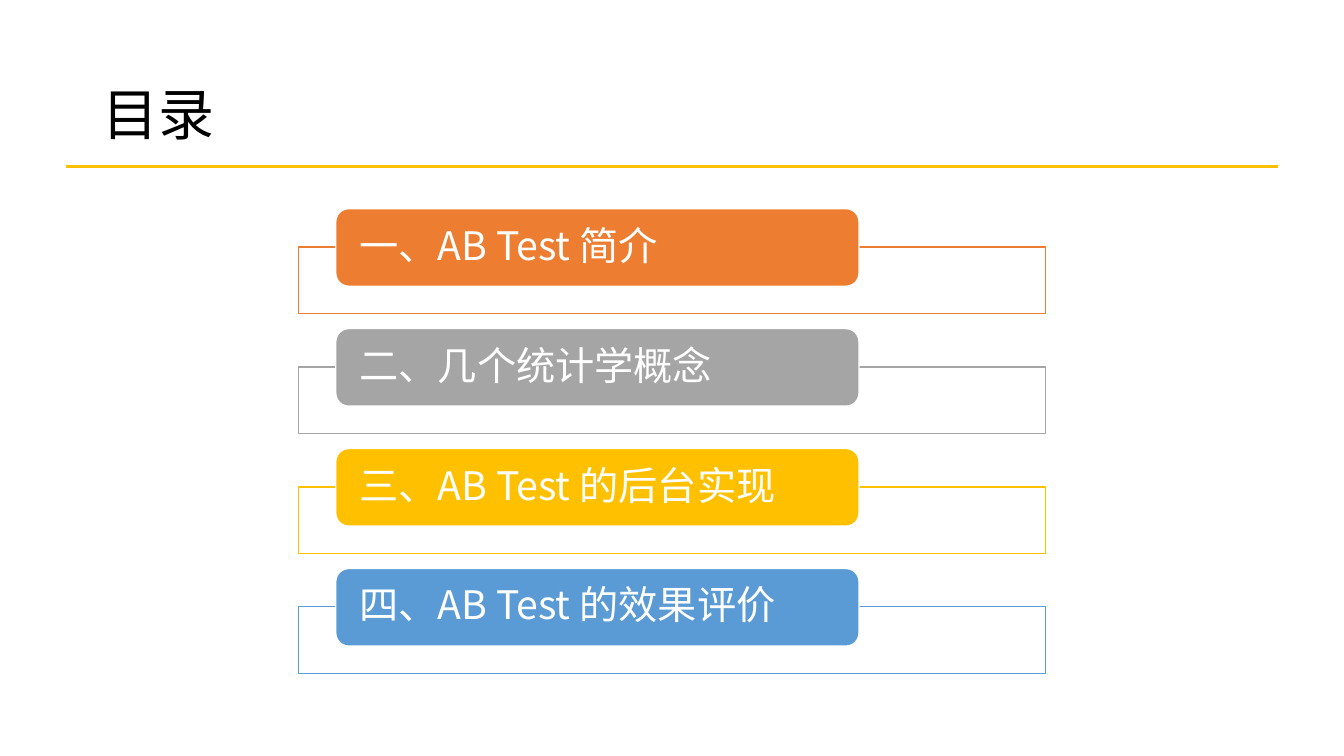
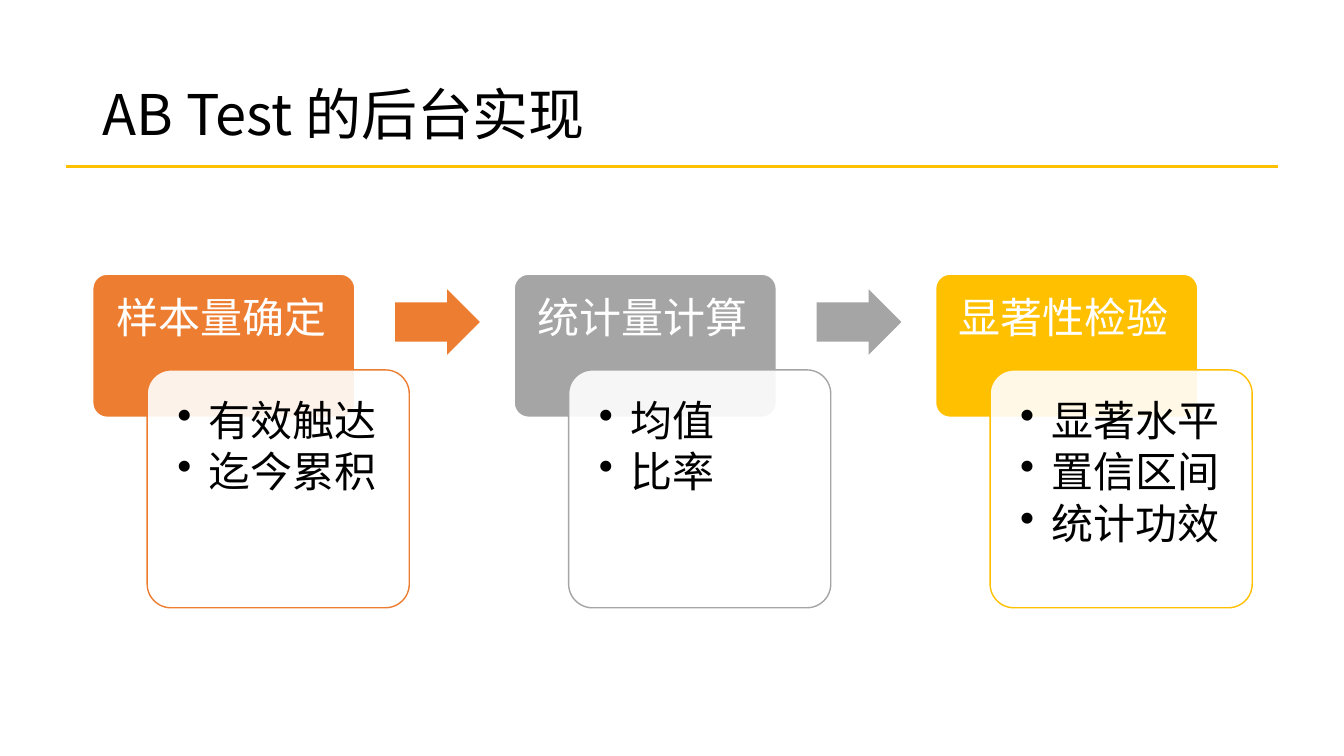
import pptx
import pptx.dml.color
import pptx.enum.shapes
import pptx.enum.text
import pptx.oxml.ns
import pptx.util
import lxml.etree

inches = pptx.util.Inches
qn = pptx.oxml.ns.qn
color = pptx.dml.color.RGBColor.from_string
shapes = pptx.enum.shapes.MSO_SHAPE
anchors = pptx.enum.text.MSO_ANCHOR

FONT = "Noto Sans CJK SC"
ORANGE, GRAY, GOLD, BLUE = "ED7D31", "A5A5A5", "FFC000", "5B9BD5"
WHITE, BLACK = "FFFFFF", "000000"
MARGIN = 0.92


def add_box(slide, kind, place, fill, line, opacity=100):
    box = slide.shapes.add_shape(kind, *map(inches, place))
    box.shadow.inherit = False
    box.fill.solid()
    box.fill.fore_color.rgb = color(fill)
    if opacity < 100:
        tint = box.fill._xPr.find(qn("a:solidFill"))[0]
        lxml.etree.SubElement(tint, qn("a:alpha"), val=str(opacity * 1000))
    if line:
        box.line.color.rgb = color(line)
        box.line.width = pptx.util.Pt(1)
    else:
        box.line.fill.background()
    return box


def write(frame, lines, size, ink, anchor, insets=None, after=0, bullet=False):
    frame.word_wrap = True
    frame.vertical_anchor = anchor
    if insets:
        (frame.margin_left, frame.margin_top,
         frame.margin_right, frame.margin_bottom) = map(inches, insets)
    frame.text = "\n".join(lines)
    for para in frame.paragraphs:
        para.alignment = pptx.enum.text.PP_ALIGN.LEFT
        para.line_spacing = 0.9
        properties = para._p.get_or_add_pPr()
        if after:
            para.space_after = pptx.util.Pt(0)
            spacing = properties.find(qn("a:spcAft"))
            spacing.clear()
            lxml.etree.SubElement(spacing, qn("a:spcPct"), val=str(after * 1000))
        if bullet:
            para.level = 1
            properties.set("marL", str(inches(0.31)))
            properties.set("indent", str(-inches(0.31)))
            lxml.etree.SubElement(properties, qn("a:buChar"), char="•")
        para.font.size = pptx.util.Pt(size)
        para.font.color.rgb = color(ink)
        para.font.name = FONT
        lxml.etree.SubElement(properties.find(qn("a:defRPr")), qn("a:ea"), typeface=FONT)


deck = pptx.Presentation()
deck.slide_width, deck.slide_height = inches(13.33), inches(7.5)
layout = deck.slide_layouts.get_by_name("Title Only")

pages = []
for heading in ("目录", "AB Test 的后台实现"):
    page = deck.slides.add_slide(layout)
    title = page.shapes.title
    title.left, title.top, title.width, title.height = map(inches, (MARGIN, 0.67, 11.5, 0.98))
    write(title.text_frame, [heading], 40, BLACK, anchors.MIDDLE)
    pages.append(page)
contents, process = pages

rule = contents.shapes.add_connector(
    pptx.enum.shapes.MSO_CONNECTOR.STRAIGHT, *map(inches, (0.65, 1.65, 12.68, 1.65)))
rule.line.color.rgb = color(GOLD)
rule.line.width = pptx.util.Pt(2.25)
lxml.etree.SubElement(rule.element.spPr, qn("a:effectLst"))
rule.element.nvCxnSpPr.cNvPr.id = 20
layout.shapes.element.append(rule.element)

chapters = [
    ("一、AB Test 简介", ORANGE),
    ("二、几个统计学概念", GRAY),
    ("三、AB Test 的后台实现", GOLD),
    ("四、AB Test 的效果评价", BLUE),
]
ROW = 1.19
for row, (chapter, accent) in enumerate(chapters):
    top = 2.07 + row * ROW
    add_box(contents, shapes.RECTANGLE, (2.96, top + 0.38, 7.41, 0.66), WHITE, accent, 90)
    tab = add_box(contents, shapes.ROUNDED_RECTANGLE, (3.33, top, 5.19, 0.77), accent, WHITE)
    write(tab.text_frame, [chapter], 28, WHITE, anchors.MIDDLE, (0.2, 0, 0.2, 0), 35)

steps = [
    ("样本量确定", ["有效触达", "迄今累积"], ORANGE),
    ("统计量计算", ["均值", "比率"], GRAY),
    ("显著性检验", ["显著水平", "置信区间", "统计功效"], GOLD),
]
COLUMN, TOP = 4.18, 2.72
for column, (step, details, accent) in enumerate(steps):
    left = MARGIN + column * COLUMN
    head = add_box(process, shapes.ROUNDED_RECTANGLE, (left, TOP, 2.6, 1.42), accent, WHITE)
    card = add_box(process, shapes.ROUNDED_RECTANGLE,
                   (left + 0.54, TOP + 0.95, 2.6, 2.36), WHITE, accent, 90)
    head.adjustments[0] = card.adjustments[0] = 0.1
    write(head.text_frame, [step], 30, WHITE, anchors.TOP, (0.19, 0.19, 0.19, 0.12), 35)
    write(card.text_frame, details, 30, BLACK, anchors.TOP, (0.23,) * 4, 15, True)
    if column < len(steps) - 1:
        arrow = add_box(process, shapes.RIGHT_ARROW, (left + 3, TOP + 0.15, 0.84, 0.65), accent, None)
        arrow.adjustments[0] = 0.6

deck.save("out.pptx")
